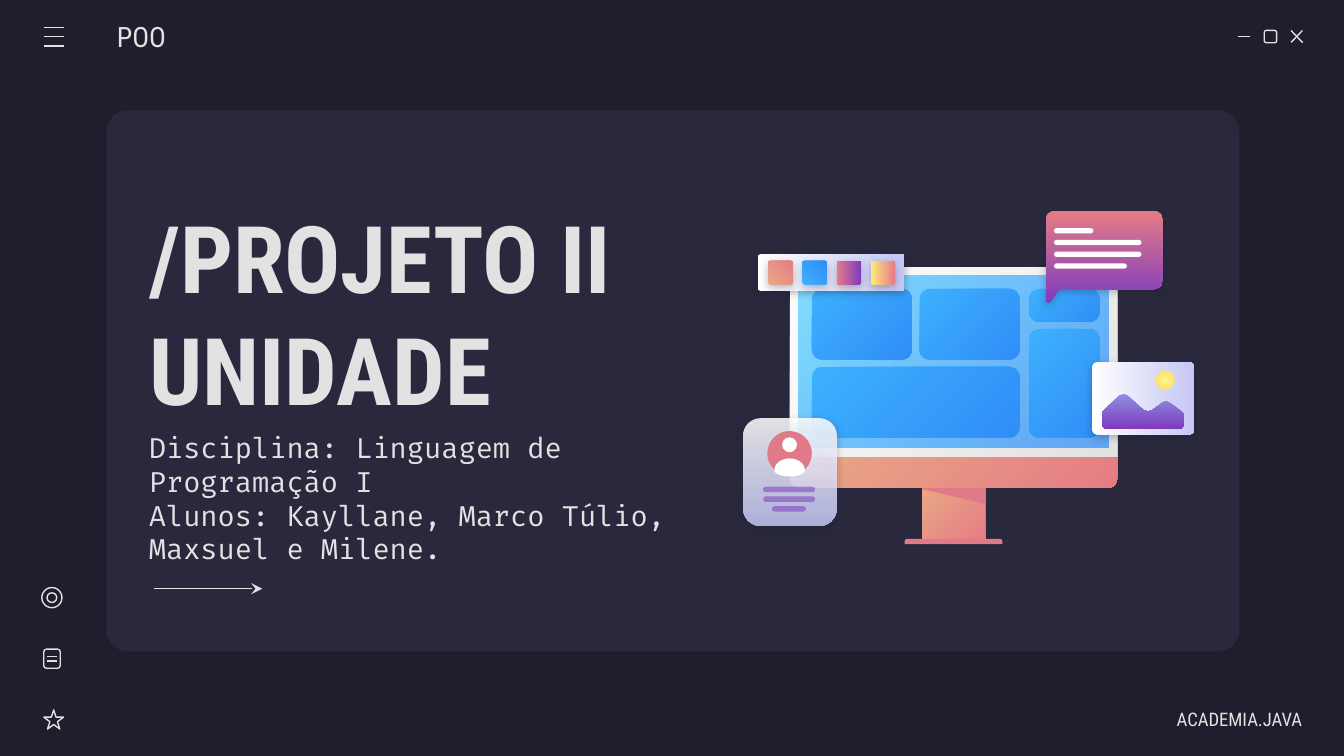
from math import cos, pi, sin

from lxml import etree
from pptx import Presentation
from pptx.dml.color import RGBColor
from pptx.enum import shapes as sh, text as tx
from pptx.oxml.ns import qn
from pptx.util import Pt

NIGHT = RGBColor(0x1E, 0x1E, 0x2C)
PANEL = RGBColor(0x29, 0x28, 0x3D)
PALE = RGBColor(0xE2, 0xE2, 0xE2)
WHITE = RGBColor(0xFF, 0xFF, 0xFF)
ROSE = RGBColor(0xE0, 0x7A, 0x88)
CORAL = RGBColor(0xE5, 0x7C, 0x85)
PEACH = RGBColor(0xE9, 0xA9, 0x84)
VIOLET = RGBColor(0x7E, 0x3B, 0xBE)
MAUVE = RGBColor(0x8D, 0x90, 0xE1)
LILAC = RGBColor(0xC5, 0xC7, 0xF4)
SKY = RGBColor(0x3D, 0xB0, 0xFD)
BLUE = RGBColor(0x30, 0x8E, 0xF7)
AQUA = RGBColor(0x80, 0xDF, 0xFF)
AZURE = RGBColor(0x31, 0x8F, 0xFA)
LEMON = RGBColor(0xFF, 0xF6, 0x8E)
GOLD = RGBColor(0xFF, 0xD9, 0x66)
CORN = RGBColor(0xFF, 0xEA, 0x7D)

KIND = sh.MSO_SHAPE
RECT, ROUND, OVAL = KIND.RECTANGLE, KIND.ROUNDED_RECTANGLE, KIND.OVAL
CAP = KIND.ROUND_2_SAME_RECTANGLE
WARM = (PEACH, CORAL, 45)
COOL = (SKY, BLUE, 45)

deck = Presentation()
deck.slide_width, deck.slide_height = Pt(720), Pt(405)
slide = deck.slides.add_slide(deck.slide_layouts[5])
slide.background.fill.solid()
slide.background.fill.fore_color.rgb = NIGHT
items = slide.shapes


def paint(shape, fill, alphas=(), shade=False):
    """Fill with a colour, a (from, to, clockwise angle or None for radial) blend, or only an outline."""
    shape.shadow.inherit = False
    props = shape._element.spPr
    if fill is None:
        shape.fill.background()
        shape.line.color.rgb, shape.line.width = PALE, Pt(0.75)
        return
    shape.line.fill.background()
    if isinstance(fill, RGBColor):
        shape.fill.solid()
        shape.fill.fore_color.rgb = fill
    else:
        shape.fill.gradient()
        for stop, tone, spot in zip(shape.fill.gradient_stops, fill, (0, 1)):
            stop.color.rgb, stop.position = tone, spot
        if fill[2] is not None:
            shape.fill.gradient_angle = -fill[2] % 360
        else:
            lin = next(props.iter(qn("a:lin")))
            ring = etree.Element(qn("a:path"), path="circle")
            etree.SubElement(ring, qn("a:fillToRect"), dict.fromkeys("ltrb", "50000"))
            lin.getparent().replace(lin, ring)
    for tone, alpha in zip(props.iter(qn("a:srgbClr")), alphas):
        etree.SubElement(tone, qn("a:alpha"), val=str(alpha * 1000))
    if shade:
        cast = etree.SubElement(props.find(qn("a:effectLst")), qn("a:outerShdw"), blurRad=str(Pt(4.5)),
                                dist=str(Pt(1.5)), dir="5400000", algn="bl", rotWithShape="0")
        tone = etree.SubElement(cast, qn("a:srgbClr"), val=str(NIGHT))
        etree.SubElement(tone, qn("a:alpha"), val="30000")


def put(form, spots, fill, curve=None, **looks):
    """Add a preset from (x, y, w, h), or an outline through points if form is None; curve holds corner radii."""
    if form is None:
        dots = [(Pt(x), Pt(y)) for x, y in spots]
        pen = items.build_freeform(*dots[0], scale=1.0)
        pen.add_line_segments(dots[1:], close=True)
        shape = pen.convert_to_shape()
    else:
        shape = items.add_shape(form, *map(Pt, spots))
        for k, size in enumerate(curve or ()):
            shape.adjustments[k] = size / min(spots[2:])
    paint(shape, fill, **looks)


put(ROUND, (57, 59, 607, 290), PANEL, [11.6])

# Monitor
put(RECT, (494, 260, 33.8, 31), WARM)
put(CAP, (484.6, 288.7, 52.4, 2.9), ROSE, [1.4, 0])
put(None, [(494, 260), (494, 262), (527.8, 270), (527.8, 260)], ROSE)
put(CAP, (423.2, 244, 175.2, 17.4), WARM, [0, 4.7])
put(CAP, (423.2, 143.2, 175.2, 101.6), (WHITE, PALE, 45), [4.7, 0])
put(RECT, (427.8, 147.7, 166, 92.2), (AQUA, AZURE, 45), alphas=(100, 72))
for tile in [(435, 154.8, 53.5, 37.8), (492.6, 154.8, 53.5, 37.8), (435, 196.6, 111.1, 37.8),
             (551.3, 154.8, 37.7, 17.6), (551.3, 176.3, 37.7, 58.1)]:
    put(ROUND, tile, COOL, [5.4])

# Speech bubble: rounded corners, clockwise from top left, then the tail
curl = 4.7
bubble = []
for k, (x, y) in enumerate([(565, 117.7), (618.3, 117.7), (618.3, 150.2)]):
    for step in range(7):
        turn = pi + (k + step / 6) * pi / 2
        bubble.append((x + curl * cos(turn), y + curl * sin(turn)))
bubble += [(567.6, 154.9), (562.6, 161.7), (561.4, 162.2), (560.3, 161.2)]
put(None, bubble, (CORAL, VIOLET, 90), shade=True)
for k, w in enumerate((21, 46.8, 46.8, 39)):
    put(ROUND, (564.7, 122.2 + 6.3 * k, w, 2.8), WHITE, [1.4])

# Profile card
put(ROUND, (398.2, 224, 50, 57.8), (WHITE, LILAC, 90), [9.3], alphas=(86, 86), shade=True)
put(OVAL, (411.1, 231, 23.8, 23.8), ROSE)
put(OVAL, (419, 234.3, 8, 8), WHITE)
torso = []
for k in range(24):
    turn = k * pi / 12
    torso.append((423 + 8.2 * cos(turn), 252 + (3.3 if k < 12 else 6.4) * sin(turn)))
put(None, torso, WHITE)
for k, w in enumerate((27.8, 27.8, 18.2)):
    put(ROUND, (422.7 - w / 2, 260.8 + 5.2 * k, w, 2.9), VIOLET, [1.45], alphas=(54,))

# Photo
put(ROUND, (585, 194, 54.7, 38.8), (WHITE, LILAC, 0), [2.8], shade=True)
hills = [(590.4, 220.8), (599.8, 211.8), (602, 211), (604, 211.8), (612.6, 219.7), (614.9, 220.4),
         (617, 219.9), (622.6, 215.8), (624.3, 215.1), (626.2, 215.5), (633.4, 220.8), (634.2, 222.3),
         (634.2, 228), (632.6, 229.7), (592.2, 229.7), (590.4, 228)]
put(None, hills, (MAUVE, VIOLET, 90))
put(OVAL, (619.2, 198.6, 10.1, 10.1), (LEMON, GOLD, None))

# Colour palette
put(ROUND, (406, 136.2, 78.7, 19.6), (WHITE, LILAC, 0), [1.4], shade=True)
swatches = [(PEACH, CORAL, 315), (SKY, BLUE, 315), (CORAL, VIOLET, 0), (CORN, CORAL, 0)]
for k, blend in enumerate(swatches):
    put(ROUND, (411.6 + 18.3 * k, 139.8, 13, 12.6), blend, [0.9], shade=True)

# Window and side icons
put(ROUND, (677.3, 16.3, 6.6, 6.6), None, [1.1])
put(KIND.STAR_5_POINT, (23.5, 380.3, 10.6, 10.3), None)
put(ROUND, (23.5, 347.8, 8.8, 10.2), None, [1.5])
for size in (10.8, 5.2):
    put(OVAL, (27.8 - size / 2, 320.2 - size / 2, size, size), None)

strokes = [(663, 19.6, 669.6, 19.6), (691.7, 16.4, 697.9, 22.9), (697.7, 16.4, 691.7, 22.7)]
strokes += [(23.4, 14.6 + 5 * k, 34.1, 14.6 + 5 * k) for k in range(3)]
strokes += [(25.2, y, 30.4, y) for y in (351.6, 354.2)]
strokes += [(82.3, 315.4, 140.5, 315.4)]
for ends in strokes:
    line = items.add_connector(sh.MSO_CONNECTOR.STRAIGHT, *map(Pt, ends))
    line.line.color.rgb, line.line.width = PALE, Pt(0.75)
    etree.SubElement(line._element.spPr, qn("a:effectLst"))
etree.SubElement(line.line._get_or_add_ln(), qn("a:tailEnd"), type="stealth")

# Texts
title = items.title
items._spTree.append(title._element)
LEFT, RIGHT = tx.PP_ALIGN.LEFT, tx.PP_ALIGN.RIGHT
MONO, SANS = "Fira Code", "Roboto Condensed"
texts = [
    (title, (72.7, 103.7, 321.8, 126.7), ["/PROJETO II UNIDADE"], SANS, 50, LEFT, 7.2, 7.2),
    (None, (72.7, 229, 302.4, 75.6),
     ["Disciplina: Linguagem de Programação I", "Alunos: Kayllane, Marco Túlio, Maxsuel e Milene."],
     MONO, 15, LEFT, 7.2, 7.2),
    (None, (62.6, 8.6, 84.2, 21.6), ["POO"], SANS, 15, LEFT, 0, 7.2),
    (None, (613.4, 374.4, 84.2, 21.6), ["ACADEMIA.JAVA"], SANS, 10, RIGHT, 7.2, 0),
]
for shape, area, lines, face, size, side, left, right in texts:
    shape = shape or items.add_textbox(0, 0, 0, 0)
    shape.left, shape.top, shape.width, shape.height = map(Pt, area)
    frame = shape.text_frame
    frame.word_wrap, frame.auto_size = True, tx.MSO_AUTO_SIZE.NONE
    frame.vertical_anchor = tx.MSO_ANCHOR.MIDDLE
    frame.margin_left, frame.margin_right = Pt(left), Pt(right)
    frame.margin_top = frame.margin_bottom = Pt(7.2)
    for k, words in enumerate(lines):
        para = frame.add_paragraph() if k else frame.paragraphs[0]
        para.alignment = side
        run = para.add_run()
        run.text = words
        run.font.name, run.font.size, run.font.bold = face, Pt(size), size == 50
        run.font.color.rgb = PALE

deck.save("out.pptx")
